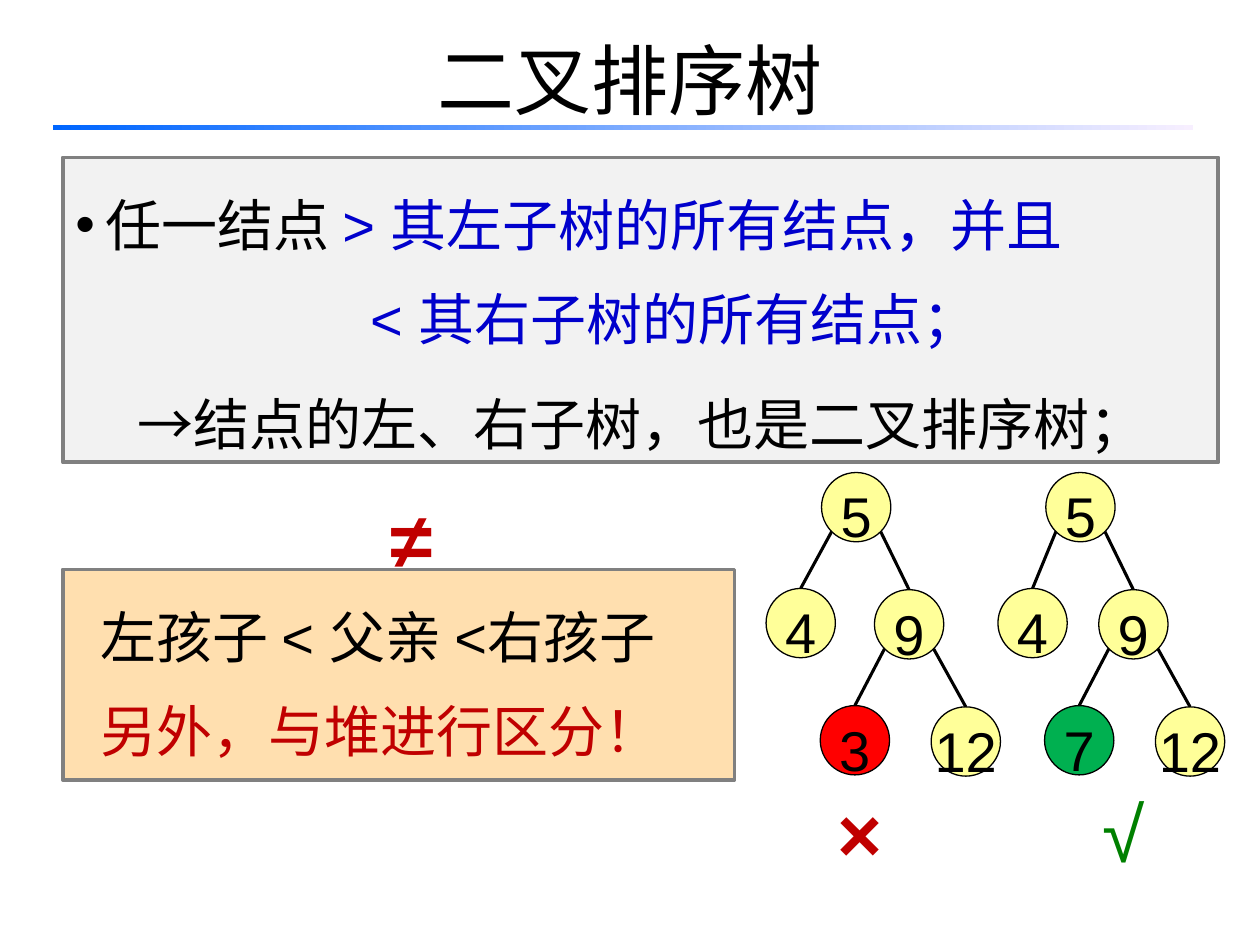
from lxml.etree import SubElement
from pptx import Presentation
from pptx.dml.color import RGBColor
from pptx.enum.shapes import MSO_CONNECTOR as Connector, MSO_SHAPE as Preset
from pptx.enum.text import MSO_ANCHOR as Anchor, PP_ALIGN as Align
from pptx.oxml.ns import qn
from pptx.util import Inches, Pt

LATIN, HAN = "Arial", "Noto Sans CJK SC"
BLACK, GREY, BLUE, RED, GREEN = "000000", "808080", "0000CC", "C00000", "008000"
YELLOW = "FFFF99"
NODE = 0.55


def colour(hex_value):
    return RGBColor.from_string(hex_value)


def apply(target, **values):
    for name, value in values.items():
        setattr(target, name, value)


def inches(*lengths):
    return [Inches(length) for length in lengths]


def add_run(paragraph, text, ink, size=32, bold=False, latin=LATIN):
    run = paragraph.add_run()
    run.text = text
    apply(run.font, size=Pt(size), bold=bold, name=latin)
    run.font.color.rgb = colour(ink)
    SubElement(run.font._element, qn("a:ea"), typeface=HAN)


def indent(paragraph, margin, hanging=0, bullet=None):
    properties = paragraph._p.get_or_add_pPr()
    properties.set("marL", str(Inches(margin)))
    properties.set("indent", str(-Inches(hanging)))
    if bullet:
        SubElement(properties, qn("a:buFont"), typeface=LATIN)
        SubElement(properties, qn("a:buChar"), char=bullet)


def add_preset(slide, preset, box, fill, line, weight):
    shape = slide.shapes.add_shape(preset, *inches(*box))
    shape.shadow.inherit = False
    shape.fill.solid()
    shape.fill.fore_color.rgb = colour(fill)
    shape.line.color.rgb = colour(line)
    shape.line.width = Pt(weight)
    return shape


def add_heading(slide, box):
    title = slide.shapes.title
    apply(title, **dict(zip(("left", "top", "width", "height"), inches(*box))))
    title.text_frame.vertical_anchor = Anchor.MIDDLE
    paragraph = title.text_frame.paragraphs[0]
    paragraph.alignment = Align.CENTER
    add_run(paragraph, "二叉排序树", BLACK, size=44, latin=HAN)

    rule = slide.shapes.add_shape(Preset.RECTANGLE, *inches(0.42, 0.99, 9.05, 0.04))
    rule.shadow.inherit = False
    rule.line.fill.background()
    rule.fill.gradient()
    rule.fill.gradient_angle = 0
    for stop, shade, position in zip(rule.fill.gradient_stops, ("0066FF", "F7EFFF"), (0, 1)):
        stop.color.rgb = colour(shade)
        stop.position = position


def add_panel(slide, box, fill, alignment, rows):
    panel = add_preset(slide, Preset.RECTANGLE, box, fill, GREY, 2.25)
    frame = panel.text_frame
    apply(frame, word_wrap=True, vertical_anchor=Anchor.TOP)
    for number, (layout, before, runs) in enumerate(rows):
        paragraph = frame.add_paragraph() if number else frame.paragraphs[0]
        indent(paragraph, **layout)
        apply(paragraph, alignment=alignment, line_spacing=1.4, space_before=Pt(before))
        for text, ink in runs:
            add_run(paragraph, text, ink)


def add_mark(slide, box, symbol, ink, bold):
    frame = slide.shapes.add_textbox(*inches(*box)).text_frame
    frame.word_wrap = False
    paragraph = frame.paragraphs[0]
    paragraph.line_spacing = 1.25
    add_run(paragraph, symbol, ink, size=44, bold=bold)


def add_edge(slide, parent, child):
    shoulder = 0.08 if child[0] < parent[0] else NODE - 0.08
    start = parent[0] + shoulder, parent[1] + 0.47
    end = child[0] + NODE / 2, child[1]
    edge = slide.shapes.add_connector(Connector.STRAIGHT, *inches(*start, *end))
    edge.line.color.rgb = colour(BLACK)
    edge.line.width = Pt(1.75)
    SubElement(edge._element.spPr, qn("a:effectLst"))


def add_node(slide, place, key, fill):
    node = add_preset(slide, Preset.OVAL, (*place, NODE, NODE), fill, BLACK, 0.75)
    apply(node.text_frame, word_wrap=False, vertical_anchor=Anchor.MIDDLE)
    paragraph = node.text_frame.paragraphs[0]
    apply(paragraph, alignment=Align.CENTER, line_spacing=1.25)
    add_run(paragraph, key, BLACK)


def add_tree(slide, left, top, root_shift, leaf, leaf_fill):
    root_left = left + root_shift
    nodes = {
        "5": (root_left, top),
        "4": (left, top + 0.92),
        "9": (root_left + 0.42, top + 0.93),
        leaf: (root_left - 0.01, top + 1.85),
        "12": (root_left + 0.87, top + 1.86),
    }
    for parent, child in (("5", "4"), ("5", "9"), ("9", leaf), ("9", "12")):
        add_edge(slide, nodes[parent], nodes[child])
    for key, place in nodes.items():
        add_node(slide, place, key, leaf_fill if key == leaf else YELLOW)


def main():
    deck = Presentation()
    apply(deck, slide_width=Inches(10), slide_height=Inches(7.5))
    slide = deck.slides.add_slide(deck.slide_layouts[5])

    add_heading(slide, (0.5, 0, 9, 1.25))
    add_panel(slide, (0.5, 1.25, 9.17, 2.42), "F2F2F2", Align.JUSTIFY, [
        ({"margin": 0.24, "hanging": 0.24, "bullet": "•"}, 0,
         [("任一结点 ", BLACK), ("> 其左子树的所有结点，并且", BLUE)]),
        ({"margin": 2.34}, 0, [("< 其右子树的所有结点；", BLUE)]),
        ({"margin": 0.49}, 6, [("→结点的左、右子树，也是二叉排序树；", BLACK)]),
    ])
    add_panel(slide, (0.5, 4.52, 5.33, 1.67), "FFDFAF", Align.LEFT, [
        ({"margin": 0.2}, 0, [("左孩子 < 父亲 <右孩子", BLACK)]),
        ({"margin": 0.2}, 0, [("另外，与堆进行区分！", RED)]),
    ])
    add_mark(slide, (3, 3.67, 0.54, 0.94), "≠", RED, True)
    add_tree(slide, 6.08, 3.75, 0.44, "3", "FF0000")
    add_tree(slide, 7.92, 3.75, 0.38, "7", "00B050")
    add_mark(slide, (6.55, 6, 0.82, 0.93), "×", RED, True)
    add_mark(slide, (8.65, 6, 0.54, 1.03), "√", GREEN, False)
    deck.save("out.pptx")


if __name__ == "__main__":
    main()
